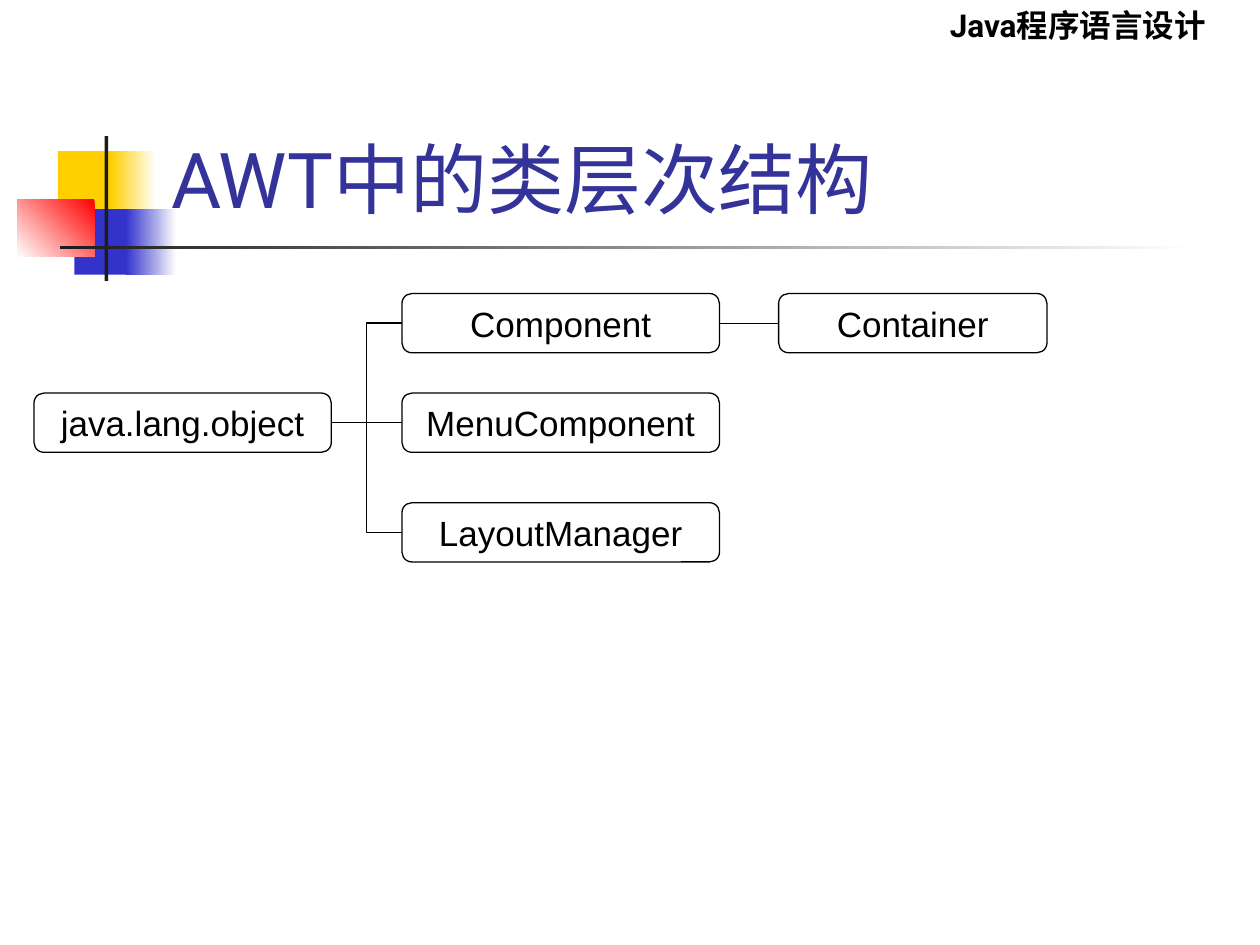
"""Builds a slide showing the class hierarchy of AWT as a tree of boxes."""
from pptx import Presentation
from pptx.dml.color import RGBColor
from pptx.enum.shapes import MSO_CONNECTOR, MSO_SHAPE
from pptx.enum.text import MSO_ANCHOR, PP_ALIGN
from pptx.oxml.ns import qn
from pptx.util import Inches, Pt
from lxml import etree

RECTANGLE, ROUNDED = MSO_SHAPE.RECTANGLE, MSO_SHAPE.ROUNDED_RECTANGLE
STRAIGHT, ELBOW = MSO_CONNECTOR.STRAIGHT, MSO_CONNECTOR.ELBOW
TOP, MIDDLE, BOTTOM = MSO_ANCHOR.TOP, MSO_ANCHOR.MIDDLE, MSO_ANCHOR.BOTTOM
LEFT, CENTER = PP_ALIGN.LEFT, PP_ALIGN.CENTER
LEFT_SIDE, RIGHT_SIDE = 1, 3

COLORS = {"white": "FFFFFF", "yellow": "FFCF01", "blue": "3333CC", "red": "FF0000",
          "dark": "1C1C1C", "title": "333399", "black": "000000"}

HEADER = "Java程序语言设计"
TITLE = "AWT中的类层次结构"

ORNAMENTS = [
    ((0.46, 1.2, 0.48, 0.52), ("yellow",), 0),
    ((0.88, 1.2, 0.36, 0.52), ("white", "yellow"), 180),
    ((0.59, 1.66, 0.46, 0.52), ("blue",), 0),
    ((1, 1.66, 0.4, 0.52), ("white", "blue"), 180),
    ((0.14, 1.58, 0.61, 0.46), ("red", "white"), 225),
    ((0.83, 1.08, 0.03, 1.15), ("dark",), 0),
    ((0.48, 1.95, 9, 0.03), ("white", "dark"), 180),
]

COLUMNS = [(0.27, 2.36), (3.19, 2.52), (6.18, 2.13)]
ROWS = [2.33, 3.12, 3.99]
BOX_HEIGHT = 0.47
TRUNK_START = 2.8
CLASSES = [
    ("java.lang.object", 0, 1),
    ("Component", 1, 0),
    ("MenuComponent", 1, 1),
    ("LayoutManager", 1, 2),
    ("Container", 2, 0),
]
LINKS = [
    ("java.lang.object", "Component", ELBOW),
    ("java.lang.object", "MenuComponent", STRAIGHT),
    ("java.lang.object", "LayoutManager", ELBOW),
    ("Component", "Container", STRAIGHT),
]


def color(name):
    return RGBColor.from_string(COLORS[name])


def write(shape, text, *, size, font, ink="black", bold=False, align=LEFT,
          anchor=TOP, wrap=True):
    frame = shape.text_frame
    frame.word_wrap = wrap
    frame.vertical_anchor = anchor
    para = frame.paragraphs[0]
    para.alignment = align
    span = para.add_run()
    span.text = text
    span.font.size = Pt(size)
    span.font.name = font
    span.font.bold = bold
    span.font.color.rgb = color(ink)


def add_ornament(page, place, names, angle):
    shape = page.shapes.add_shape(RECTANGLE, *map(Inches, place))
    shape.shadow.inherit = False
    shape.line.fill.background()
    if len(names) == 1:
        shape.fill.solid()
        shape.fill.fore_color.rgb = color(names[0])
        return
    shape.fill.gradient()
    shape.fill.gradient_angle = angle
    for stop, name in zip(shape.fill.gradient_stops, names):
        stop.color.rgb = color(name)


def add_class(page, name, column, row):
    left, width = COLUMNS[column]
    box = page.shapes.add_shape(
        ROUNDED, *map(Inches, (left, ROWS[row], width, BOX_HEIGHT)))
    box.shadow.inherit = False
    box.fill.background()
    box.line.color.rgb = color("black")
    box.line.width = Pt(0.75)
    write(box, name, size=20, font="Arial", align=CENTER, anchor=MIDDLE, wrap=False)
    return box


def add_link(page, parent, child, kind):
    middle = child.top + child.height // 2
    link = page.shapes.add_connector(kind, Inches(TRUNK_START), middle, child.left, middle)
    if kind == ELBOW or parent.top != Inches(ROWS[1]):
        link.begin_connect(parent, RIGHT_SIDE)
    link.end_connect(child, LEFT_SIDE)
    link.line.color.rgb = color("black")
    link.line.width = Pt(0.75)
    etree.SubElement(link._element.spPr, qn("a:effectLst"))


def main():
    deck = Presentation()
    deck.slide_width, deck.slide_height = Inches(10), Inches(7.5)
    page = deck.slides.add_slide(deck.slide_layouts[6])

    for ornament in ORNAMENTS:
        add_ornament(page, *ornament)
    header = page.shapes.add_textbox(*map(Inches, (7.44, 0, 2.76, 0.4)))
    write(header, HEADER, size=18, font="Roboto", bold=True)
    title = page.shapes.add_textbox(*map(Inches, (1.26, 0.23, 8.52, 1.6)))
    write(title, TITLE, size=44, font="Roboto", ink="title", anchor=BOTTOM)

    boxes = {name: add_class(page, name, column, row) for name, column, row in CLASSES}
    for parent, child, kind in LINKS:
        add_link(page, boxes[parent], boxes[child], kind)
    deck.save("out.pptx")


if __name__ == "__main__":
    main()
